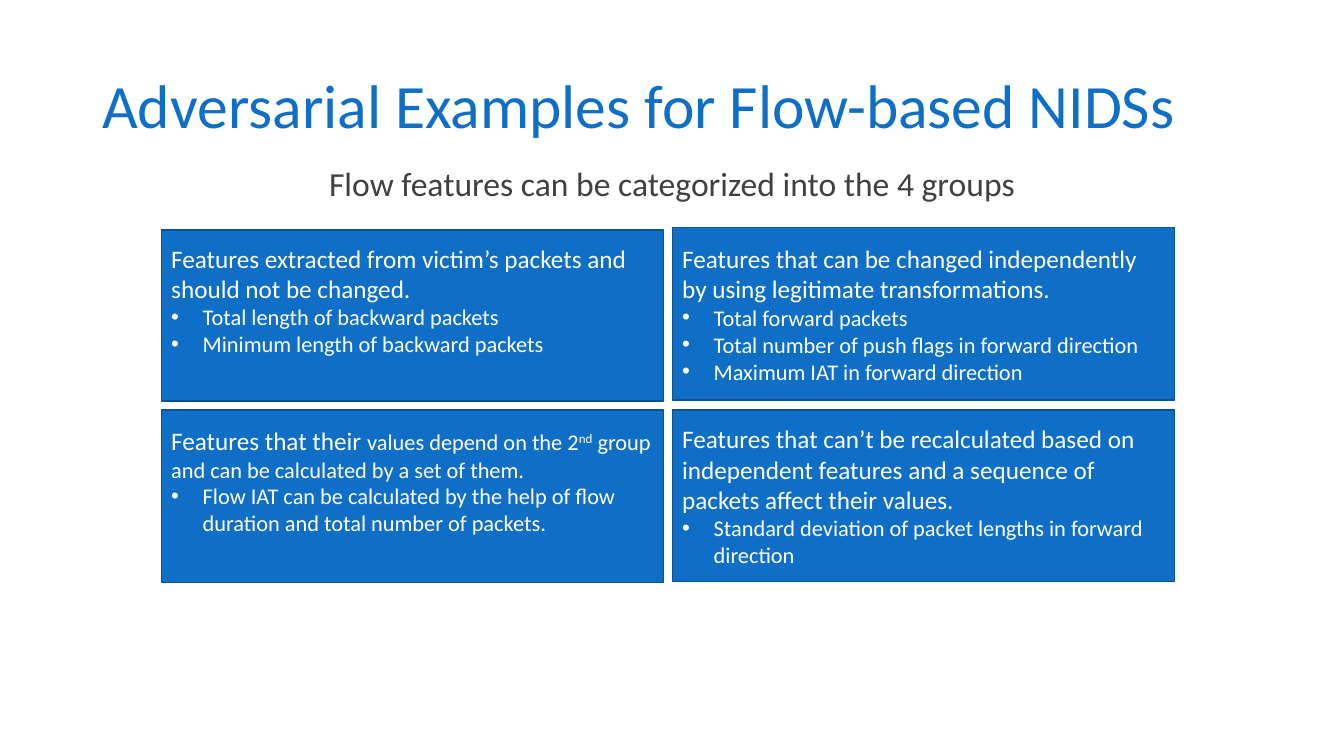
from lxml import etree
from pptx import Presentation
from pptx.dml.color import RGBColor
from pptx.enum.shapes import MSO_SHAPE
from pptx.enum.text import MSO_ANCHOR, PP_ALIGN
from pptx.oxml.ns import qn
from pptx.util import Pt

BLUE = RGBColor(0x0F, 0x6F, 0xC6)
DARK_BLUE = RGBColor(0x0B, 0x52, 0x92)
GREY = RGBColor(0x40, 0x40, 0x40)
WHITE = RGBColor(0xFF, 0xFF, 0xFF)

RECTANGLE = MSO_SHAPE.RECTANGLE
TOP, MIDDLE = MSO_ANCHOR.TOP, MSO_ANCHOR.MIDDLE
LEFT, CENTER = PP_ALIGN.LEFT, PP_ALIGN.CENTER

# Card grid, in points
COLUMN_LEFTS = (115.2, 480.2)
CARD_WIDTH = 358.6
LEAD_SIZE, BULLET_SIZE = 18, 16
BULLET_INDENT = 22.5
EDGE_INSET, RAISED_INSET = 3.6, 25.6

# Column, top, height, bottom inset, lead spans (text, size, raised), bullets
CARDS = [
    (0, 164.2, 122.4, RAISED_INSET,
     [("Features extracted from victim’s packets and should not be changed.", LEAD_SIZE, False)],
     ["Total length of backward packets", "Minimum length of backward packets"]),
    (1, 162.7, 123.1, EDGE_INSET,
     [("Features that can be changed independently by using legitimate transformations.",
       LEAD_SIZE, False)],
     ["Total forward packets", "Total number of push flags in forward direction",
      "Maximum IAT in forward direction"]),
    (0, 293, 123.1, RAISED_INSET,
     [("Features that their ", LEAD_SIZE, False),
      ("values depend on the 2", BULLET_SIZE, False),
      ("nd", BULLET_SIZE, True),
      (" group and can be calculated by a set of them.", BULLET_SIZE, False)],
     ["Flow IAT can be calculated by the help of flow duration and total number of packets."]),
    (1, 293, 122.4, EDGE_INSET,
     [("Features that can’t be recalculated based on independent features and a sequence of "
       "packets affect their values.", LEAD_SIZE, False)],
     ["Standard deviation of packet lengths in forward direction"]),
]


class SlideBuilder:
    font_name = "Calibri"

    def __init__(self, page):
        self.page = page

    def style(self, paragraph, size, color, align=LEFT):
        paragraph.alignment = align
        paragraph.font.name = self.font_name
        paragraph.font.size = Pt(size)
        paragraph.font.color.rgb = color

    def heading(self, text, top, height, size, color, align, anchor, space_before=0):
        box = self.page.shapes.add_textbox(Pt(66), Pt(top), Pt(828), Pt(height))
        frame = box.text_frame
        frame.word_wrap = True
        frame.vertical_anchor = anchor
        paragraph = frame.paragraphs[0]
        paragraph.text = text
        paragraph.line_spacing = 0.9
        paragraph.space_before = Pt(space_before)
        self.style(paragraph, size, color, align)

    def bullet(self, frame, text):
        paragraph = frame.add_paragraph()
        paragraph.text = text
        properties = paragraph._p.get_or_add_pPr()
        properties.set("marL", str(Pt(BULLET_INDENT)))
        properties.set("indent", str(-Pt(BULLET_INDENT)))
        etree.SubElement(properties, qn("a:buFont")).set("typeface", "Arial")
        etree.SubElement(properties, qn("a:buChar")).set("char", "•")
        self.style(paragraph, BULLET_SIZE, WHITE)

    def card(self, column, top, height, bottom_inset, lead, bullets):
        box = self.page.shapes.add_shape(
            RECTANGLE, Pt(COLUMN_LEFTS[column]), Pt(top), Pt(CARD_WIDTH), Pt(height))
        box.shadow.inherit = False
        box.fill.solid()
        box.fill.fore_color.rgb = BLUE
        box.line.color.rgb = DARK_BLUE
        box.line.width = Pt(1)
        frame = box.text_frame
        frame.word_wrap = True
        frame.vertical_anchor = MIDDLE
        frame.margin_bottom = Pt(bottom_inset)
        paragraph = frame.paragraphs[0]
        self.style(paragraph, LEAD_SIZE, WHITE)
        for text, size, raised in lead:
            span = paragraph.add_run()
            span.text = text
            if size != LEAD_SIZE:
                span.font.size = Pt(size)
            if raised:
                span._r.get_or_add_rPr().set("baseline", "30000")
        for text in bullets:
            self.bullet(frame, text)


def main():
    deck = Presentation()
    deck.slide_width, deck.slide_height = Pt(960), Pt(540)
    builder = SlideBuilder(deck.slides.add_slide(deck.slide_layouts[6]))

    # Title and subtitle
    builder.heading("Adversarial Examples for Flow-based NIDSs",
                    21.6, 111.6, 44, BLUE, LEFT, MIDDLE)
    builder.heading("Flow features can be categorized into the 4 groups",
                    115.9, 42.5, 24, GREY, CENTER, TOP, space_before=10)

    # Four feature groups
    for card in CARDS:
        builder.card(*card)

    deck.save("out.pptx")


if __name__ == "__main__":
    main()
